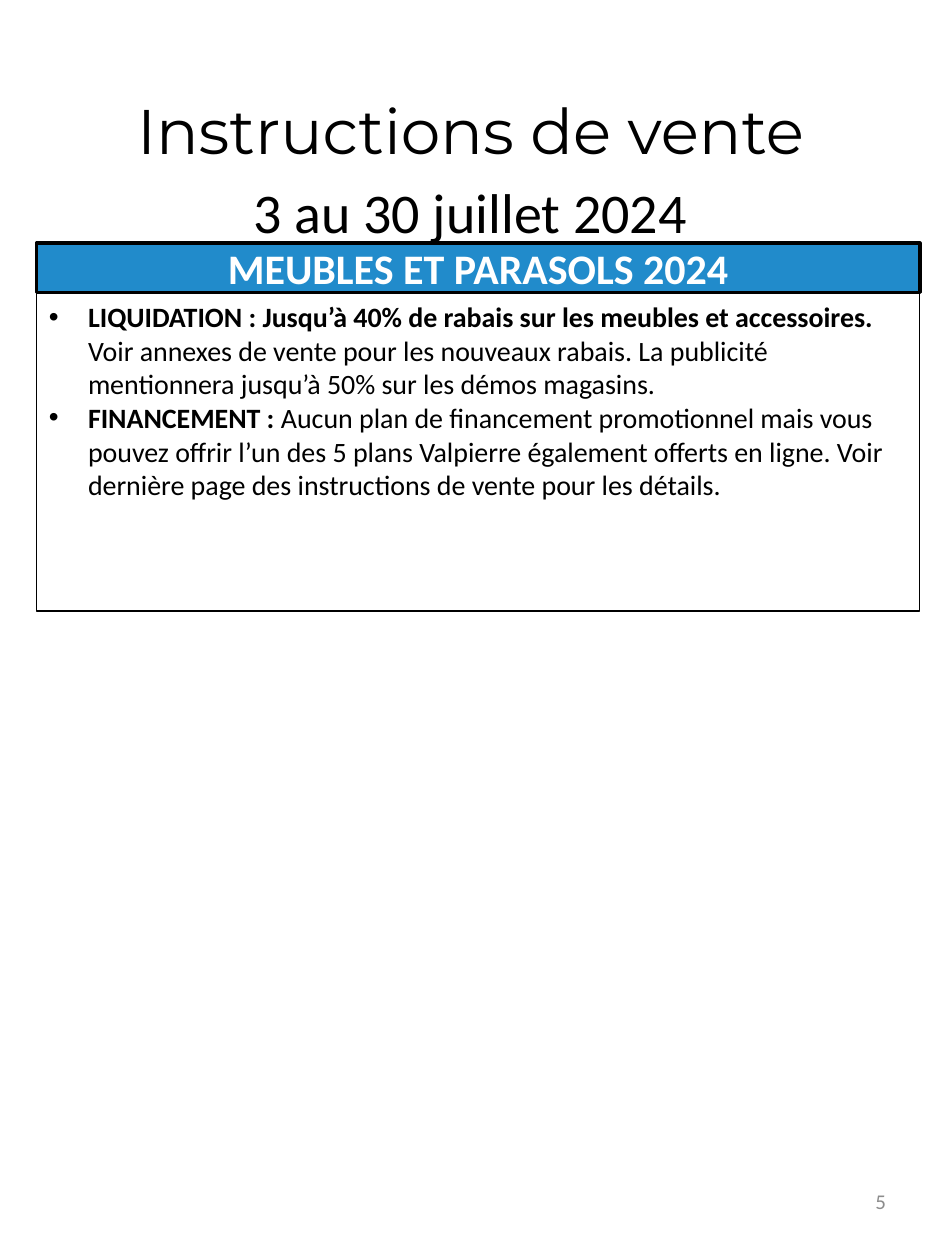
"""Build the sales instructions slide for furniture and parasols."""
from dataclasses import dataclass

from lxml.etree import SubElement
from pptx import Presentation
from pptx.dml.color import RGBColor as RGB
from pptx.enum.shapes import MSO_SHAPE as Shape
from pptx.enum.text import MSO_ANCHOR as Anchor, PP_ALIGN as Align
from pptx.oxml.ns import qn
from pptx.util import Inches, Pt


@dataclass(frozen=True)
class Theme:
    black: RGB = RGB(0, 0, 0)
    white: RGB = RGB(255, 255, 255)
    blue: RGB = RGB(0x21, 0x8B, 0xCB)
    gray: RGB = RGB(0x8C, 0x8C, 0x8C)
    font: str = "Calibri"
    title_font: str = "Montserrat"
    title: int = 36
    dates: int = 32
    banner: int = 24
    body: int = 16
    number: int = 12


THEME = Theme()
LEFT, WIDTH = 0.29, 7.01
OFFERS = [
    ("LIQUIDATION : Jusqu’à 40% de rabais sur les meubles et accessoires. ",
     "Voir annexes de vente pour les nouveaux rabais. La publicité "
     "mentionnera jusqu’à 50% sur les démos magasins."),
    ("FINANCEMENT : ",
     "Aucun plan de financement promotionnel mais vous pouvez offrir l’un "
     "des 5 plans Valpierre également offerts en ligne. Voir dernière page "
     "des instructions de vente pour les détails."),
]


def add_run(p, text, size, color=THEME.black, bold=False, font=THEME.font):
    r = p.add_run()
    r.text = text
    r.font.size, r.font.bold, r.font.name = Pt(size), bold, font
    r.font.color.rgb = color
    return r


def outline(r, color, width):
    rpr = r.font._element
    ln = SubElement(rpr, qn("a:ln"), w=str(Pt(width)))
    fill = SubElement(ln, qn("a:solidFill"))
    SubElement(fill, qn("a:srgbClr"), val=str(color))
    rpr.insert(0, ln)


def add_bullet(p, indent):
    ppr = p._p.get_or_add_pPr()
    ppr.set("marL", str(Inches(indent)))
    ppr.set("indent", str(-Inches(indent)))
    SubElement(ppr, qn("a:buFont"), typeface="Arial")
    SubElement(ppr, qn("a:buChar"), char="•")


def add_box(s, top, height, line_width, fill=None, anchor=Anchor.TOP):
    sp = s.shapes.add_shape(Shape.RECTANGLE, Inches(LEFT), Inches(top),
                            Inches(WIDTH), Inches(height))
    sp.shadow.inherit = False
    if fill is None:
        sp.fill.background()
    else:
        sp.fill.solid()
        sp.fill.fore_color.rgb = fill
    sp.line.color.rgb = THEME.black
    sp.line.width = Pt(line_width)
    tf = sp.text_frame
    tf.word_wrap, tf.vertical_anchor = True, anchor
    return tf


def add_text(s, left, top, width, height, align, anchor=Anchor.TOP):
    sp = s.shapes.add_textbox(Inches(left), Inches(top), Inches(width), Inches(height))
    tf = sp.text_frame
    tf.word_wrap, tf.vertical_anchor = True, anchor
    p = tf.paragraphs[0]
    p.alignment = align
    return p


def add_banner(s, text):
    tf = add_box(s, 1.93, 0.39, 2, THEME.blue, Anchor.MIDDLE)
    p = tf.paragraphs[0]
    p.alignment = Align.CENTER
    add_run(p, text, THEME.banner, THEME.white, bold=True)


def add_offers(s, offers):
    tf = add_box(s, 2.33, 2.52, 0.75)
    for i, (lead, detail) in enumerate(offers):
        p = tf.add_paragraph() if i else tf.paragraphs[0]
        p.alignment = Align.LEFT
        add_bullet(p, 0.31)
        add_run(p, lead, THEME.body, bold=True)
        add_run(p, detail, THEME.body)


def add_title(s, title, dates):
    p = add_text(s, 0.36, 0.59, 6.75, 1.18, Align.CENTER)
    p.line_spacing, p.space_after = 1.15, Pt(10)
    r = add_run(p, title, THEME.title, font=THEME.title_font)
    outline(r, THEME.black, 0.4)
    p.add_line_break()
    r = add_run(p, dates, THEME.dates)
    outline(r, THEME.black, 0.4)


def add_page_number(s, number):
    p = add_text(s, 5.38, 9.27, 1.75, 0.53, Align.RIGHT, Anchor.MIDDLE)
    add_run(p, number, THEME.number, THEME.gray)


def main():
    prs = Presentation()
    prs.slide_width, prs.slide_height = Inches(7.5), Inches(10)
    s = prs.slides.add_slide(prs.slide_layouts[6])
    add_banner(s, "MEUBLES ET PARASOLS 2024")
    add_offers(s, OFFERS)
    add_page_number(s, "5")
    add_title(s, "Instructions de vente", "3 au 30 juillet 2024")
    prs.save("out.pptx")


if __name__ == "__main__":
    main()
